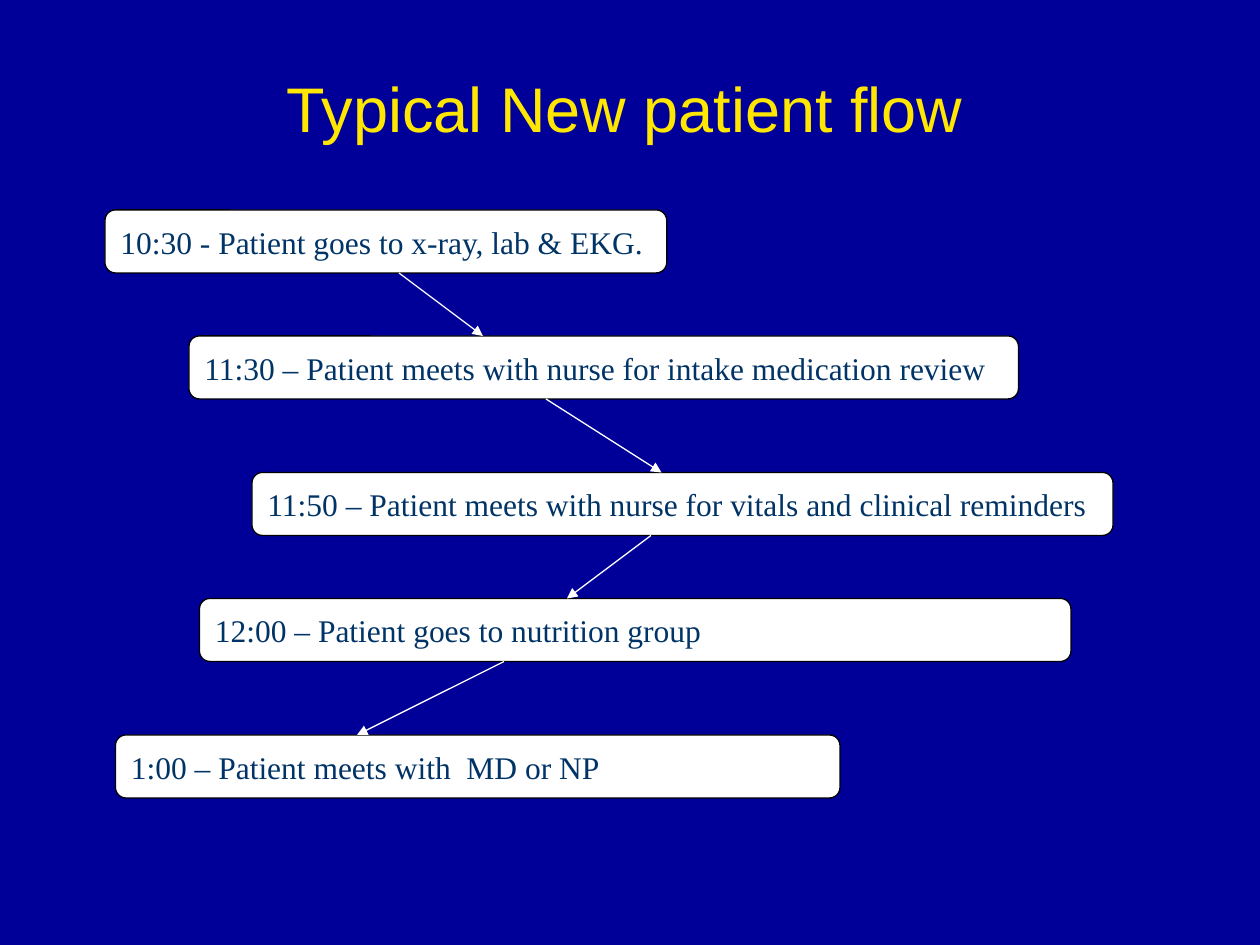
from lxml.etree import SubElement
from pptx import Presentation
from pptx.dml.color import RGBColor
from pptx.enum.shapes import MSO_CONNECTOR, MSO_SHAPE
from pptx.enum.text import MSO_ANCHOR, PP_ALIGN
from pptx.oxml.ns import qn
from pptx.util import Inches, Pt

COLORS = {
    "background": "000099",
    "title": "FFE701",
    "box": "FFFFFF",
    "outline": "000000",
    "text": "003366",
    "arrow": "FFFFFF",
}
UNIT = Inches(1) // 12  # the slide is a grid of 120 columns and 90 rows
COLUMNS, ROWS = 120, 90
STEP_ROWS = 6

# left column, top row, columns wide, text
STEPS = [
    (10, 20, 53.5, "10:30 - Patient goes to x-ray, lab & EKG."),
    (18, 32, 79, "11:30 – Patient meets with nurse for intake medication review"),
    (24, 45, 82, "11:50 – Patient meets with nurse for vitals and clinical reminders"),
    (19, 57, 83, "12:00 – Patient goes to nutrition group"),
    (11, 70, 69, "1:00 – Patient meets with  MD or NP"),
]
# start and end columns of the arrow from each step to the next
ARROWS = [(38, 46), (52, 63), (62, 54), (48, 34)]


def color(name):
    return RGBColor.from_string(COLORS[name])


def grid(*cells):
    return [int(cell * UNIT) for cell in cells]


def style_text(paragraph, font_name, size, color_name, alignment):
    paragraph.alignment = alignment
    paragraph.font.name = font_name
    paragraph.font.size = Pt(size)
    paragraph.font.color.rgb = color(color_name)


def place_title(page, text, left, top, width, height):
    title = page.shapes.title
    title.left, title.top, title.width, title.height = grid(left, top, width, height)
    frame = title.text_frame
    frame.text = text
    frame.word_wrap = False
    frame.vertical_anchor = MSO_ANCHOR.MIDDLE
    style_text(frame.paragraphs[0], "Arial", 36, "title", PP_ALIGN.CENTER)


def add_step(page, left, top, width, text):
    box = page.shapes.add_shape(
        MSO_SHAPE.ROUNDED_RECTANGLE, *grid(left, top, width, STEP_ROWS))
    box.shadow.inherit = False
    box.fill.solid()
    box.fill.fore_color.rgb = color("box")
    box.line.color.rgb = color("outline")
    box.line.width = Pt(0.75)
    frame = box.text_frame
    frame.word_wrap = True
    frame.vertical_anchor = MSO_ANCHOR.MIDDLE
    frame.text = text
    style_text(frame.paragraphs[0], "Times New Roman", 18, "text", PP_ALIGN.LEFT)


def add_arrow(page, start_column, start_row, end_column, end_row):
    arrow = page.shapes.add_connector(
        MSO_CONNECTOR.STRAIGHT, *grid(start_column, start_row, end_column, end_row))
    arrow.line.color.rgb = color("arrow")
    arrow.line.width = Pt(0.75)
    SubElement(arrow.line._get_or_add_ln(), qn("a:tailEnd"), type="triangle")
    SubElement(arrow._element.spPr, qn("a:effectLst"))


def add_flow(page, steps, arrows):
    """Draw the steps, then an arrow from the foot of each to the top of the next."""
    for step in steps:
        add_step(page, *step)
    for (start, end), upper, lower in zip(arrows, steps, steps[1:]):
        add_arrow(page, start, upper[1] + STEP_ROWS, end, lower[1])


def main():
    deck = Presentation()
    deck.slide_width, deck.slide_height = grid(COLUMNS, ROWS)
    page = deck.slides.add_slide(deck.slide_layouts[5])
    page.background.fill.solid()
    page.background.fill.fore_color.rgb = color("background")
    place_title(page, "Typical New patient flow", 26, 6, 67, 8.5)
    add_flow(page, STEPS, ARROWS)
    deck.save("out.pptx")


if __name__ == "__main__":
    main()
